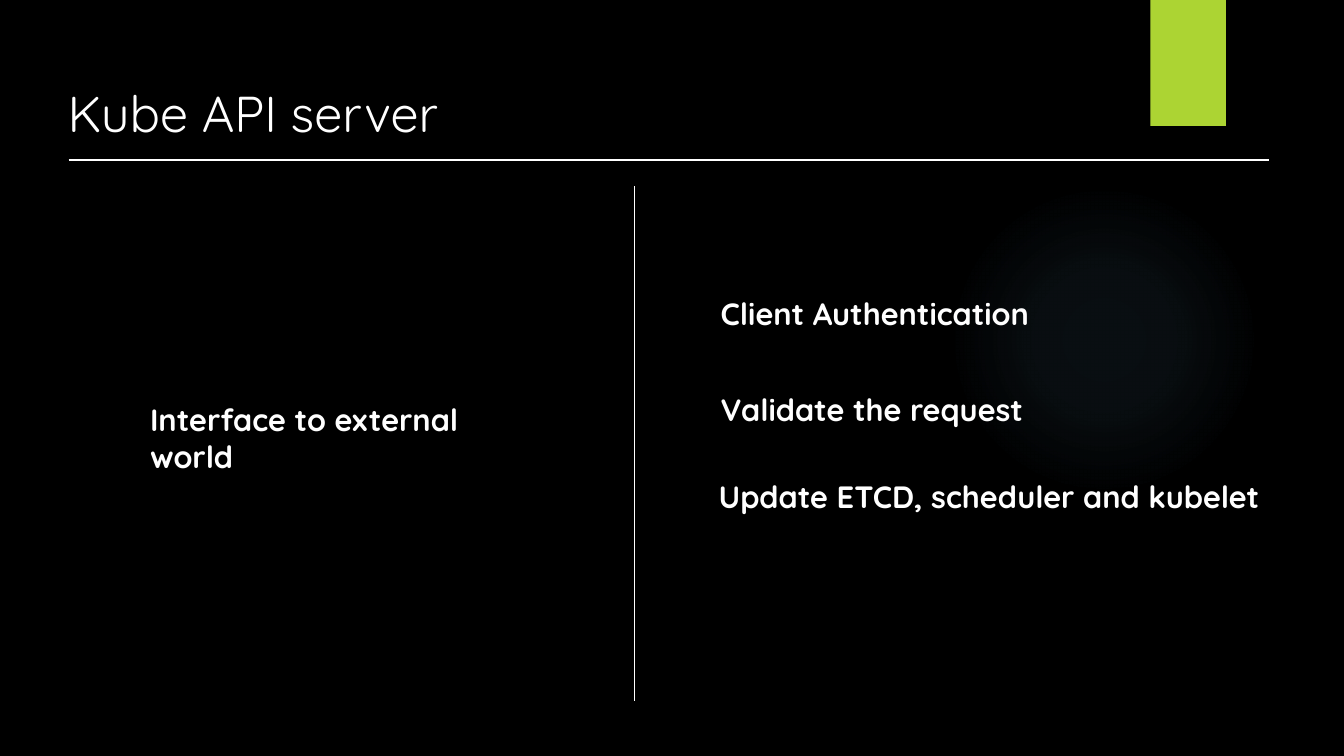
from typing import NamedTuple

from lxml.etree import SubElement
from pptx import Presentation
from pptx.dml.color import RGBColor
from pptx.enum.shapes import MSO_CONNECTOR, MSO_SHAPE
from pptx.enum.text import MSO_ANCHOR, PP_ALIGN
from pptx.oxml import parse_xml
from pptx.oxml.ns import nsdecls, qn
from pptx.util import Inches, Pt

FONT = "Quicksand"
WHITE, BLACK, GREEN, GLOW = "FFFFFF", "000000", "ACD433", "7AC4F0"


class Label(NamedTuple):
    text: str
    left: float
    top: float
    width: float
    height: float


class Rule(NamedTuple):
    x1: float
    y1: float
    x2: float
    y2: float
    weight: float


LABELS = [
    Label("Interface to external world", 1.39, 3.93, 4.16, 0.47),
    Label("Client Authentication", 7.05, 2.87, 4.16, 0.47),
    Label("Validate the request", 7.05, 3.83, 4.16, 0.47),
    Label("Update ETCD, scheduler and kubelet", 7.03, 4.69, 5.56, 0.84),
]
RULES = [
    Rule(0.68, 1.59, 12.59, 1.59, 1.5),
    Rule(6.29, 1.85, 6.29, 6.95, 0.75),
]
GLOW_STOPS = [(0, 7), (36, 6), (69, 0)]  # position %, opacity %


def rgb(value: str) -> RGBColor:
    return RGBColor.from_string(value)


def set_text(shape, text: str, size: float, bold: bool) -> None:
    tf = shape.text_frame
    tf.word_wrap = True
    tf.text = text
    p = tf.paragraphs[0]
    p.alignment = PP_ALIGN.LEFT
    font = p.runs[0].font
    font.name, font.size, font.bold = FONT, Pt(size), bold
    font.color.rgb = rgb(WHITE)


def add_block(s, kind, left: float, top: float, width: float, height: float, color: str):
    sp = s.shapes.add_shape(kind, Inches(left), Inches(top), Inches(width), Inches(height))
    sp.shadow.inherit = False
    sp.fill.solid()
    sp.fill.fore_color.rgb = rgb(color)
    sp.line.fill.background()
    return sp


def add_glow(s) -> None:
    """Add an ellipse that fades from its centre to transparent."""
    sp = add_block(s, MSO_SHAPE.OVAL, 9.41, 1.83, 3.08, 3.08, GLOW)
    stops = "".join(
        f'<a:gs pos="{pos * 1000}"><a:srgbClr val="{GLOW}">'
        f'<a:alpha val="{alpha * 1000}"/></a:srgbClr></a:gs>'
        for pos, alpha in GLOW_STOPS
    )
    gradient = parse_xml(
        f'<a:gradFill {nsdecls("a")}><a:gsLst>{stops}</a:gsLst><a:path path="circle">'
        '<a:fillToRect l="50000" t="50000" r="50000" b="50000"/></a:path></a:gradFill>'
    )
    spPr = sp.element.spPr
    spPr.replace(spPr.find(qn("a:solidFill")), gradient)


def add_rule(s, rule: Rule) -> None:
    ends = [Inches(v) for v in rule[:4]]
    line = s.shapes.add_connector(MSO_CONNECTOR.STRAIGHT, *ends)
    line.line.color.rgb = rgb(WHITE)
    line.line.width = Pt(rule.weight)
    SubElement(line.element.spPr, qn("a:effectLst"))


def add_label(s, label: Label) -> None:
    box = s.shapes.add_textbox(*(Inches(v) for v in label[1:]))
    set_text(box, label.text, 22, True)


def main() -> None:
    prs = Presentation()
    prs.slide_width, prs.slide_height = Inches(13.33), Inches(7.5)
    s = prs.slides.add_slide(prs.slide_layouts[5])
    s.background.fill.solid()
    s.background.fill.fore_color.rgb = rgb(BLACK)

    add_glow(s)
    add_block(s, MSO_SHAPE.RECTANGLE, 11.41, 0, 0.75, 1.25, GREEN)

    title = s.shapes.title
    title.left, title.top = Inches(0.57), Inches(0.76)
    title.width, title.height = Inches(7.52), Inches(0.7)
    set_text(title, "Kube API server", 36, False)
    title.text_frame.vertical_anchor = MSO_ANCHOR.MIDDLE

    for rule in RULES:
        add_rule(s, rule)
    for label in LABELS:
        add_label(s, label)
    prs.save("out.pptx")


if __name__ == "__main__":
    main()
